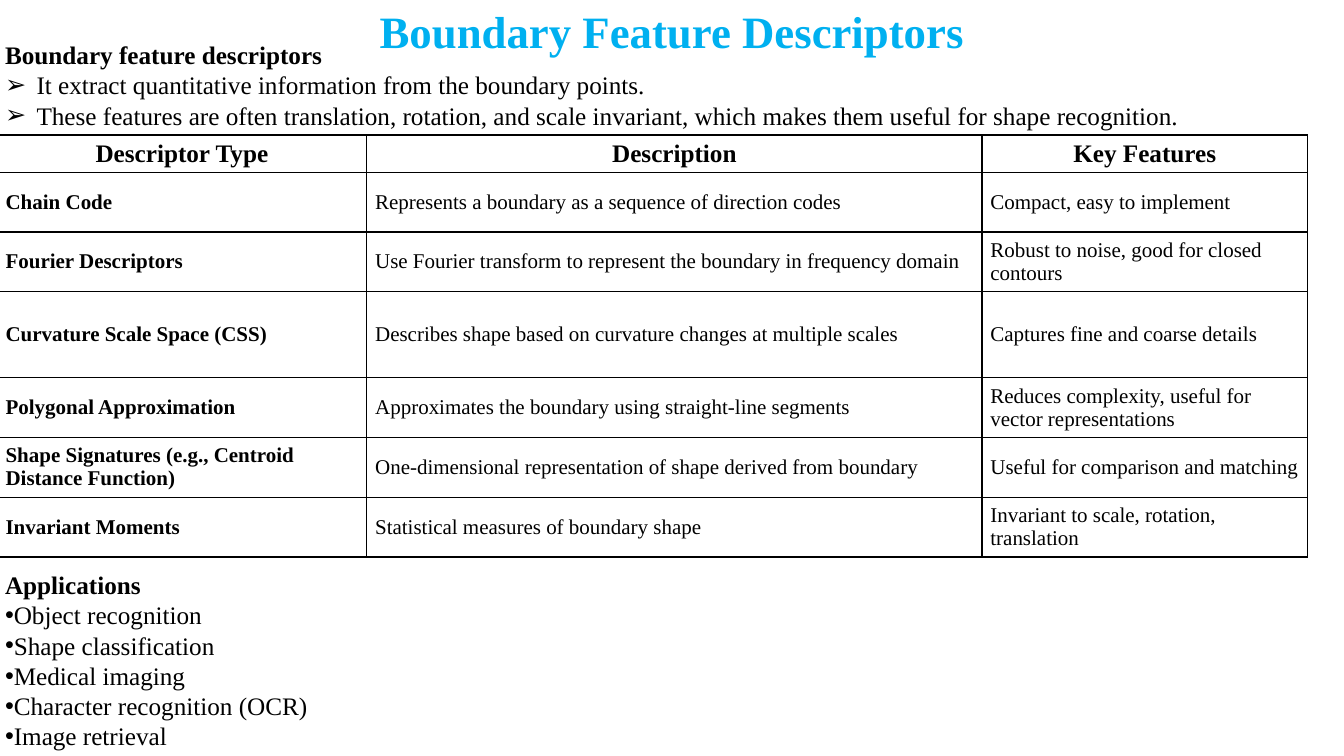
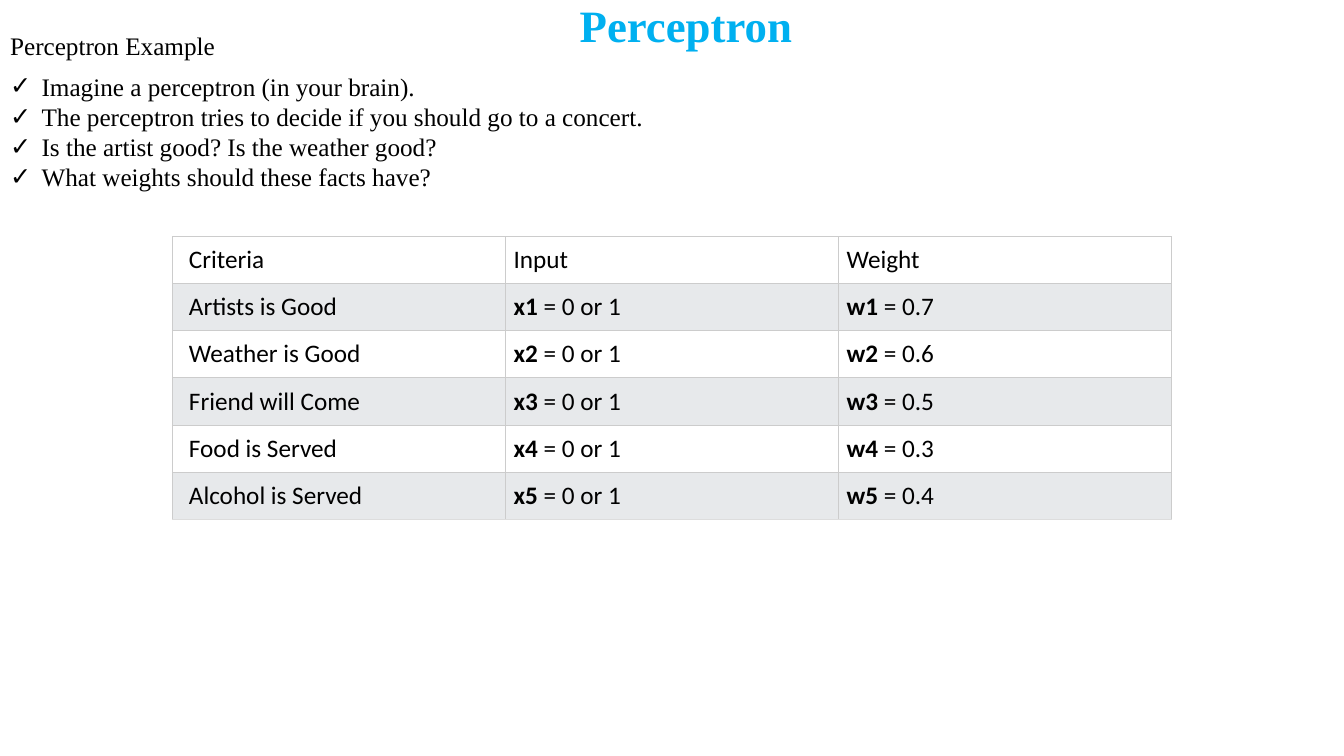
import lxml.etree
import pptx
import pptx.dml.color
import pptx.enum.text
import pptx.oxml.ns
import pptx.util

Pt = pptx.util.Pt
Align = pptx.enum.text.PP_ALIGN
Mid = pptx.enum.text.MSO_ANCHOR.MIDDLE
Top = pptx.enum.text.MSO_ANCHOR.TOP
Fixed = pptx.enum.text.MSO_AUTO_SIZE.NONE

SERIF, SANS = "Times New Roman", "Calibri"
SKY, BLACK, WHITE, SMOKE = "00B0F0", "000000", "FFFFFF", "E7E9EB"
SILVER, PALE = "CCCCCC", "DDDDDD"


def hue(code):
    """Turn a hex string into a colour."""
    return pptx.dml.color.RGBColor.from_string(code)


def apply(item, form):
    """Set each attribute named in a dict of format values."""
    for name, value in form.items():
        setattr(item, name, value)


def node(base, tag, **attrs):
    """Append a drawing element and return it."""
    return lxml.etree.SubElement(base, pptx.oxml.ns.qn("a:" + tag), attrs)


class Deck:
    """Hold the style and the current slide."""

    def __init__(self):
        """Start a blank wide deck."""
        self.file = pptx.Presentation()
        apply(self.file, {"slide_width": Pt(960), "slide_height": Pt(540)})
        self.slide = None

    def start(self, layout, title, box):
        """Add a slide with its title."""
        self.slide = self.file.slides.add_slide(self.file.slide_layouts[layout])
        para = self.frame(0, box, Mid).paragraphs[0]
        apply(para, {"alignment": Align.CENTER, "line_spacing": 0.9})
        self.runs(para, f"*{title}*", size=32, color=SKY)

    def frame(self, index, box, anchor):
        """Place a placeholder and return its text frame."""
        shape = self.slide.placeholders[index]
        apply(shape, dict(zip(("left", "top", "width", "height"), map(Pt, box))))
        apply(shape.text_frame, {"word_wrap": True, "auto_size": Fixed,
                                 "vertical_anchor": anchor})
        return shape.text_frame

    def runs(self, para, text, size=18, color=BLACK, face=SERIF):
        """Add runs, with the parts between stars in bold."""
        for place, part in enumerate(text.split("*")):
            if part:
                run = para.add_run()
                run.text = part
                apply(run.font, {"size": Pt(size), "name": face, "bold": place % 2 == 1})
                run.font.color.rgb = hue(color)

    def bullets(self, index, box, head, mark, items, indent=0, gap=0):
        """Fill a body placeholder with a heading and a marked list."""
        frame = self.frame(index, box, Top)
        for place, text in enumerate([head, *items]):
            para = frame.add_paragraph() if place else frame.paragraphs[0]
            shift = Pt(indent if place else 0)
            props = para._p.get_or_add_pPr()
            props.set("marL", str(int(shift)))
            props.set("indent", str(-int(shift)))
            if place:
                node(props, "buChar", char=mark)
            else:
                node(props, "buNone")
            apply(para, {"space_before": Pt(0), "line_spacing": 1.0,
                         "space_after": Pt(0 if place else gap)})
            self.runs(para, text)

    def edge(self, cell, code, width, base):
        """Draw the four borders of a cell."""
        props = cell._tc.get_or_add_tcPr()
        for side in "LRTB":
            line = node(props, "ln" + side, w=str(int(Pt(width))))
            fill = node(line, "solidFill")
            node(fill, "srgbClr", val=base if side == "B" else code)

    def grid(self, spot, cols, rows, data, look):
        """Add a table; look(row, col) gives the format of a cell."""
        sizes = [sum(cols), sum(rows)]
        table = self.slide.shapes.add_table(
            len(rows), len(cols), *map(Pt, [*spot, *sizes])).table
        apply(table, {"first_row": False, "horz_banding": False})
        for col, width in zip(table.columns, cols):
            col.width = Pt(width)
        for r, (line, height) in enumerate(zip(data, rows)):
            table.rows[r].height = Pt(height)
            for c, text in enumerate(line):
                cell, form = table.cell(r, c), look(r, c)
                self.edge(cell, *form["edge"])
                if form["fill"]:
                    cell.fill.solid()
                    cell.fill.fore_color.rgb = hue(form["fill"])
                else:
                    cell.fill.background()
                apply(cell, form["cell"])
                para = cell.text_frame.paragraphs[0]
                para.alignment = form["align"]
                self.runs(para, text, **form["font"])


def pads(left, right, tall):
    """Give cell margins as a dict."""
    return {"margin_left": Pt(left), "margin_right": Pt(right),
            "margin_top": Pt(tall), "margin_bottom": Pt(tall)}


def plain(row, col):
    """Style a cell of the ruled table."""
    return {"edge": (BLACK, 1, BLACK), "fill": None,
            "cell": {**pads(6, 6, 3), "vertical_anchor": Mid},
            "align": Align.LEFT if row else Align.CENTER,
            "font": {"size": 15 if row else 18}}


def band(row, col):
    """Style a cell of the banded table."""
    return {"edge": (SILVER, 0.75, PALE if row == 5 else SILVER),
            "fill": SMOKE if row % 2 else WHITE,
            "cell": {**pads(6 if col else 12, 6, 5.8), "vertical_anchor": Top},
            "align": Align.LEFT, "font": {"face": SANS}}


TYPES = [
    ("*Descriptor Type*", "*Description*", "*Key Features*"),
    ("*Chain Code*", "Represents a boundary as a sequence of direction codes",
     "Compact, easy to implement"),
    ("*Fourier Descriptors*",
     "Use Fourier transform to represent the boundary in frequency domain",
     "Robust to noise, good for closed contours"),
    ("*Curvature Scale Space (CSS)*",
     "Describes shape based on curvature changes at multiple scales",
     "Captures fine and coarse details"),
    ("*Polygonal Approximation*",
     "Approximates the boundary using straight-line segments",
     "Reduces complexity, useful for vector representations"),
    ("*Shape Signatures (e.g., Centroid Distance Function)*",
     "One-dimensional representation of shape derived from boundary",
     "Useful for comparison and matching"),
    ("*Invariant Moments*", "Statistical measures of boundary shape",
     "Invariant to scale, rotation, translation"),
]

FACTS = [("Artists is Good", 0.7), ("Weather is Good", 0.6),
         ("Friend will Come", 0.5), ("Food is Served", 0.3),
         ("Alcohol is Served", 0.4)]


def main():
    """Build and save both slides."""
    deck = Deck()

    deck.start(3, "Boundary Feature Descriptors", (0, 5, 960, 38))
    deck.bullets(1, (-3.6, 24.5, 939, 73), "*Boundary feature descriptors*", "➢", [
        "It extract quantitative information from the boundary points.",
        "These features are often translation, rotation, and scale invariant, "
        "which makes them useful for shape recognition."], indent=22.5)
    deck.grid((-2, 96.5), (264, 439.5, 232.5),
              (26.5, 42.7, 42.7, 61.4, 42.7, 42.7, 42.7), TYPES, plain)
    deck.bullets(2, (-3.6, 403.2, 483, 138), "*Applications*", "•", [
        "Object recognition", "Shape classification", "Medical imaging",
        "Character recognition (OCR)", "Image retrieval"])

    deck.start(1, "Perceptron", (250, -3.2, 480, 46))
    deck.bullets(1, (0, 18, 559.5, 124.5), "Perceptron Example", "✓", [
        "Imagine a perceptron (in your brain).",
        "The perceptron tries to decide if you should go to a concert.",
        "Is the artist good? Is the weather good?",
        "What weights should these facts have?"], indent=22.5, gap=7.5)
    data = [("Criteria", "Input", "Weight")]
    data += [(fact, f"*x{n}* = 0 or 1", f"*w{n}* = {weight}")
             for n, (fact, weight) in enumerate(FACTS, 1)]
    deck.grid((123, 169), [237.9] * 3, [33.65] * 6, data, band)

    deck.file.save("out.pptx")


if __name__ == "__main__":
    main()
